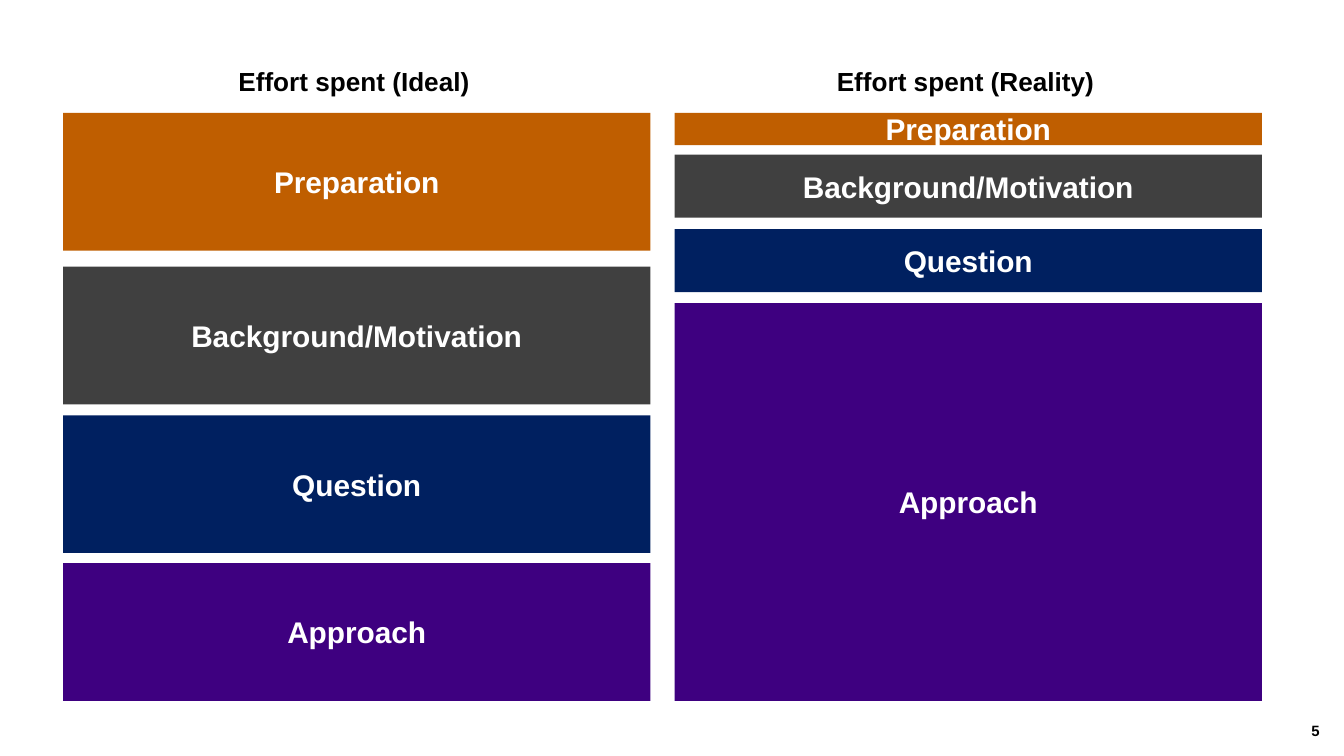
from dataclasses import dataclass

from pptx import Presentation
from pptx.dml.color import RGBColor
from pptx.enum.shapes import MSO_SHAPE
from pptx.enum.text import MSO_ANCHOR, MSO_AUTO_SIZE, PP_ALIGN
from pptx.util import Inches, Pt

RECTANGLE = MSO_SHAPE.RECTANGLE
MIDDLE, BOTTOM = MSO_ANCHOR.MIDDLE, MSO_ANCHOR.BOTTOM
CENTER, RIGHT = PP_ALIGN.CENTER, PP_ALIGN.RIGHT
NO_AUTOFIT = MSO_AUTO_SIZE.NONE

WIDTH = Inches(10)
HEIGHT = WIDTH * 9 // 16
COLUMNS = 1000
CELL = WIDTH / COLUMNS
COMPARISON_LAYOUT = 4


@dataclass(frozen=True)
class Theme:
    font: str = "Arial"
    ink: str = "000000"
    on_fill: str = "FFFFFF"
    heading_size: int = 14
    block_size: int = 16
    number_size: int = 8


PHASES = {
    "Preparation": "BF5E00",
    "Background/Motivation": "404040",
    "Question": "002060",
    "Approach": "3E0080",
}

# Heading placeholder, heading, left column, (gap above, height) of each phase in rows
STACKS = [
    (1, "Effort spent (Ideal)", 47, [(0, 102.5), (12, 102.5), (8, 102.5), (7.5, 102.5)]),
    (3, "Effort spent (Reality)", 502, [(0, 24), (7, 47), (8.5, 47), (8, 296)]),
]
STACK_TOP, STACK_WIDTH = 84, 437
HEADING_HEIGHT, HEADING_SHIFT = 47, -2


def grid_box(*cells):
    """Turn counts of square grid cells into slide lengths."""
    return [round(count * CELL) for count in cells]


def write(frame, text, *, font, size, color, align=CENTER, anchor=MIDDLE, inset=None):
    frame.word_wrap = True
    frame.auto_size = NO_AUTOFIT
    frame.vertical_anchor = anchor
    if inset is not None:
        frame.margin_left = frame.margin_right = Inches(inset)
        frame.margin_top = frame.margin_bottom = Inches(inset)
    paragraph = frame.paragraphs[0]
    paragraph.alignment = align
    paragraph.space_before = Pt(0)
    run = paragraph.add_run()
    run.text = text
    run.font.name = font
    run.font.size = Pt(size)
    run.font.bold = True
    run.font.color.rgb = RGBColor.from_string(color)


class SlideBuilder:
    def __init__(self, slide, theme):
        self.slide = slide
        self.theme = theme

    def heading(self, index, text, box):
        heading = self.slide.placeholders[index]
        heading.left, heading.top, heading.width, heading.height = grid_box(*box)
        write(heading.text_frame, text, font=self.theme.font,
              size=self.theme.heading_size, color=self.theme.ink, inset=0.12)

    def block(self, text, fill, box):
        block = self.slide.shapes.add_shape(RECTANGLE, *grid_box(*box))
        block.shadow.inherit = False
        block.fill.solid()
        block.fill.fore_color.rgb = RGBColor.from_string(fill)
        block.line.fill.background()
        write(block.text_frame, text, font=self.theme.font,
              size=self.theme.block_size, color=self.theme.on_fill)

    def page_number(self, text, box):
        number = self.slide.shapes.add_textbox(*grid_box(*box))
        write(number.text_frame, text, font=self.theme.font,
              size=self.theme.number_size, color=self.theme.ink,
              align=RIGHT, anchor=BOTTOM, inset=0)

    def remove_empty_placeholders(self):
        for placeholder in list(self.slide.placeholders):
            if not placeholder.text_frame.text:
                placeholder.element.getparent().remove(placeholder.element)


def main():
    deck = Presentation()
    deck.slide_width, deck.slide_height = WIDTH, HEIGHT
    slide = deck.slides.add_slide(deck.slide_layouts[COMPARISON_LAYOUT])
    builder = SlideBuilder(slide, Theme())

    for index, heading, left, efforts in STACKS:
        builder.heading(index, heading, (left + HEADING_SHIFT, STACK_TOP - HEADING_HEIGHT,
                                         STACK_WIDTH, HEADING_HEIGHT))
        top = STACK_TOP
        for (phase, fill), (gap, height) in zip(PHASES.items(), efforts):
            top += gap
            builder.block(phase, fill, (left, top, STACK_WIDTH, height))
            top += height

    builder.page_number("5", (923, 533, 59, 17))
    builder.remove_empty_placeholders()
    deck.save("out.pptx")


if __name__ == "__main__":
    main()
